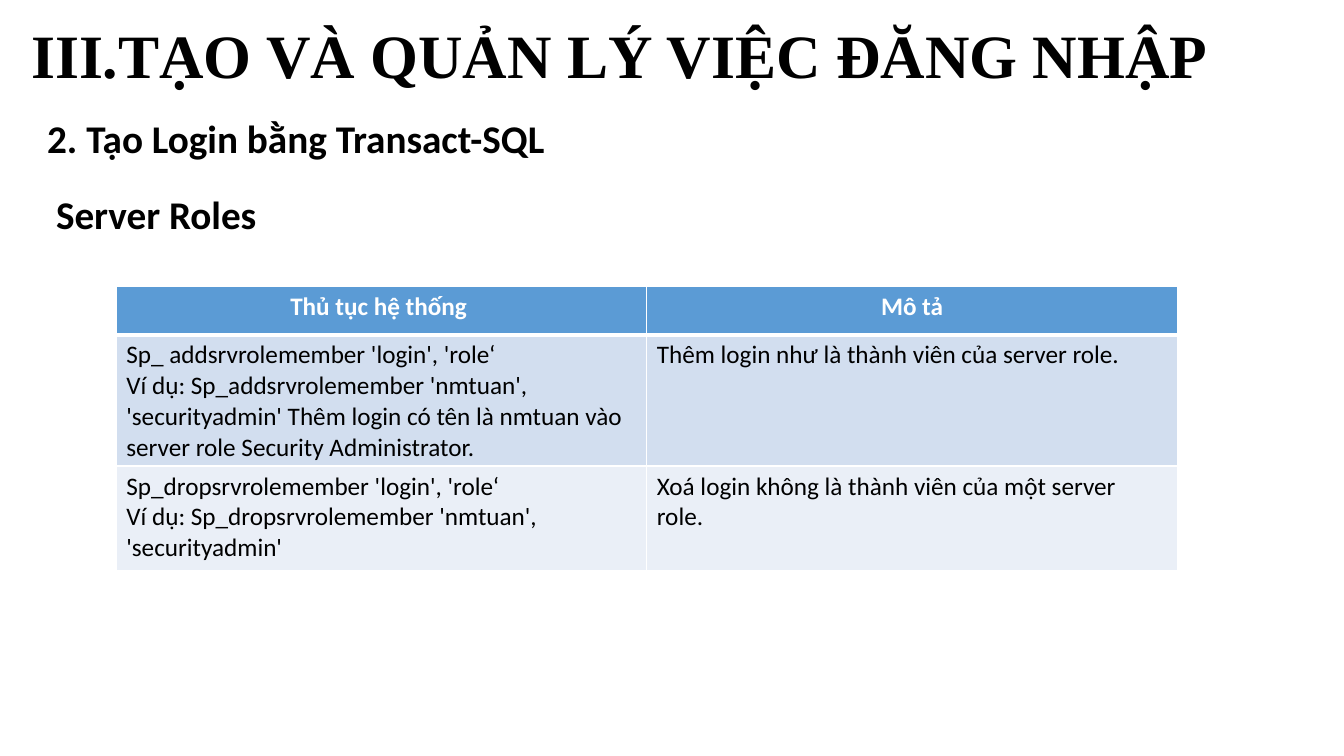
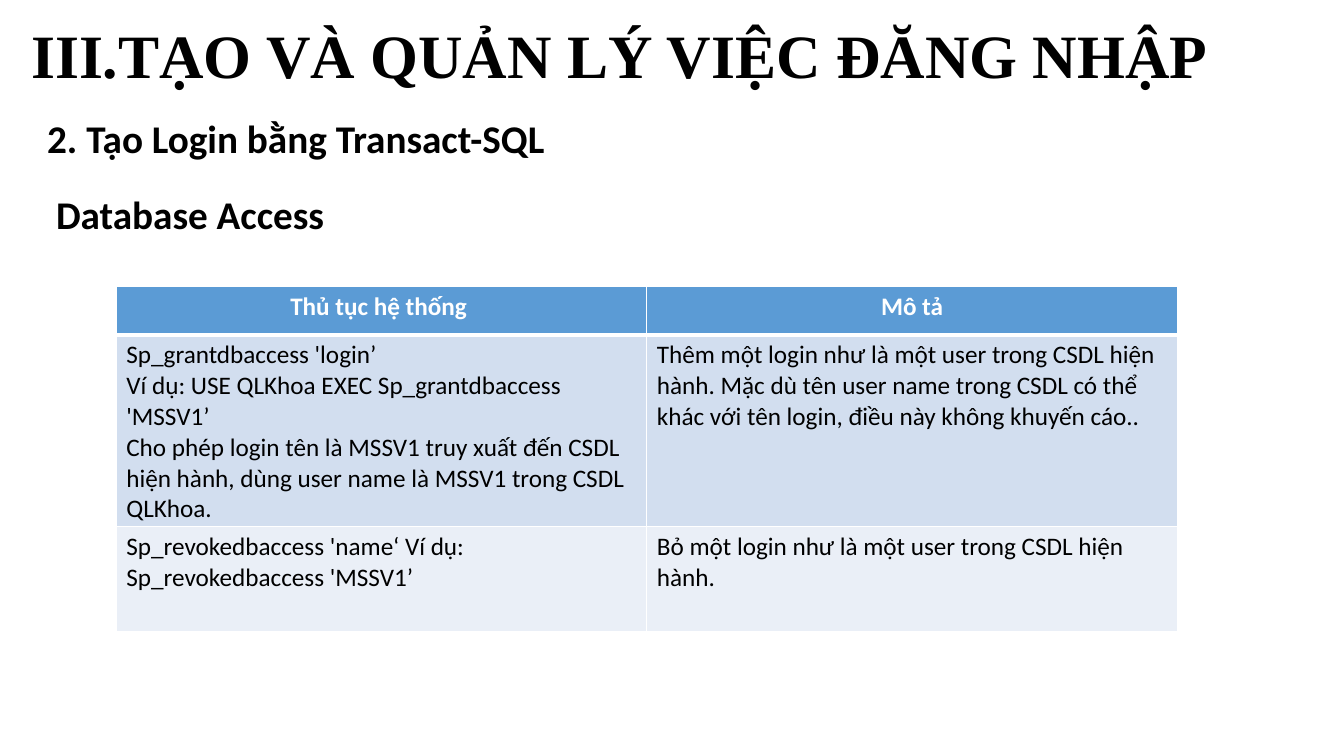
import dataclasses

import lxml.etree
import pptx
import pptx.dml.color
import pptx.enum.text
import pptx.oxml.ns
import pptx.util

Cm = pptx.util.Cm
Align = pptx.enum.text.PP_ALIGN
Anchor = pptx.enum.text.MSO_ANCHOR

TITLE = "III.TẠO VÀ QUẢN LÝ VIỆC ĐĂNG NHẬP"
SECTION = "2. Tạo Login bằng Transact-SQL"
TABLE_HEADER = ("Thủ tục hệ thống ", "Mô tả")
TITLE_FONT = "Times New Roman"
BODY_FONT = "Calibri"
BLACK = "000000"
WHITE = "FFFFFF"
ROW_FILLS = ("5B9BD5", "D2DEEF", "EAEFF7")
ROW_HEIGHTS = (1.22, 2.64, 2.64)
COLUMN_WIDTH = 13.37
THIN, THICK = 1, 3


@dataclasses.dataclass(frozen=True)
class Procedure:
    usage: str
    description: str


@dataclasses.dataclass(frozen=True)
class Topic:
    heading: str
    procedures: tuple[Procedure, ...]


TOPICS = (
    Topic(
        " Server Roles",
        (
            Procedure(
                "Sp_ addsrvrolemember 'login', 'role‘\n"
                "Ví dụ: Sp_addsrvrolemember 'nmtuan', 'securityadmin' "
                "Thêm login có tên là nmtuan vào server role Security Administrator.",
                "Thêm login như là thành viên của server role.",
            ),
            Procedure(
                "Sp_dropsrvrolemember 'login', 'role‘\n"
                "Ví dụ: Sp_dropsrvrolemember 'nmtuan', 'securityadmin'",
                "Xoá login không là thành viên của một server role.",
            ),
        ),
    ),
    Topic(
        " Database Access",
        (
            Procedure(
                "Sp_grantdbaccess 'login’\n"
                "Ví dụ: USE QLKhoa EXEC Sp_grantdbaccess 'MSSV1’\n"
                "Cho phép login tên là MSSV1 truy xuất đến CSDL hiện hành, "
                "dùng user name là MSSV1 trong CSDL QLKhoa.",
                "Thêm một login như là một user trong CSDL hiện hành. "
                "Mặc dù tên user name trong CSDL có thể khác với tên login, "
                "điều này không khuyến cáo..",
            ),
            Procedure(
                "Sp_revokedbaccess 'name‘ Ví dụ: Sp_revokedbaccess 'MSSV1’",
                "Bỏ một login như là một user trong CSDL hiện hành.",
            ),
        ),
    ),
)


def rgb(value: str) -> pptx.dml.color.RGBColor:
    return pptx.dml.color.RGBColor.from_string(value)


def write_text(text_frame, text: str, font: str, size: float, color: str, bold: bool,
               alignment: Align, line_spacing: float = 1.0, space_before: float = 0) -> None:
    text_frame.text = text
    text_frame.word_wrap = True
    for paragraph in text_frame.paragraphs:
        paragraph.alignment = alignment
        paragraph.line_spacing = line_spacing
        paragraph.space_before = pptx.util.Pt(space_before)
        for run in paragraph.runs:
            run.font.name = font
            run.font.size = pptx.util.Pt(size)
            run.font.bold = bold
            run.font.color.rgb = rgb(color)


def set_borders(cell, top: float, bottom: float) -> None:
    properties = cell._tc.get_or_add_tcPr()
    for side, width in (("L", THIN), ("R", THIN), ("T", top), ("B", bottom)):
        line = lxml.etree.SubElement(properties, pptx.oxml.ns.qn(f"a:ln{side}"),
                                     w=str(pptx.util.Pt(width)))
        fill = lxml.etree.SubElement(line, pptx.oxml.ns.qn("a:solidFill"))
        lxml.etree.SubElement(fill, pptx.oxml.ns.qn("a:srgbClr"), val=WHITE)


def add_title(slide) -> None:
    title = slide.shapes.title
    title.left, title.top, title.width, title.height = Cm(0.53), Cm(-0.36), Cm(32.39), Cm(3.68)
    title.text_frame.auto_size = pptx.enum.text.MSO_AUTO_SIZE.NONE
    title.text_frame.vertical_anchor = Anchor.MIDDLE
    write_text(title.text_frame, TITLE, TITLE_FONT, 44, BLACK, True, Align.LEFT, 0.9)


def add_headings(slide, heading: str) -> None:
    box = slide.shapes.add_textbox(Cm(0.94), Cm(2.41), Cm(31.6), Cm(4.2))
    write_text(box.text_frame, f"{SECTION}\n{heading}", BODY_FONT, 28, BLACK, True,
               Align.JUSTIFY, 1.3, 10)


def add_procedure_table(slide, procedures: tuple[Procedure, ...]) -> None:
    rows = [TABLE_HEADER, *(dataclasses.astuple(procedure) for procedure in procedures)]
    table = slide.shapes.add_table(len(rows), len(TABLE_HEADER), Cm(2.93), Cm(7.22),
                                   Cm(COLUMN_WIDTH * len(TABLE_HEADER)),
                                   Cm(sum(ROW_HEIGHTS))).table
    table.horz_banding = False
    for column in table.columns:
        column.width = Cm(COLUMN_WIDTH)
    for row_index, texts in enumerate(rows):
        table.rows[row_index].height = Cm(ROW_HEIGHTS[row_index])
        is_header = row_index == 0
        for column_index, text in enumerate(texts):
            cell = table.cell(row_index, column_index)
            set_borders(cell, THICK if row_index == 1 else THIN, THICK if is_header else THIN)
            cell.fill.solid()
            cell.fill.fore_color.rgb = rgb(ROW_FILLS[row_index])
            write_text(cell.text_frame, text, BODY_FONT, 18, WHITE if is_header else BLACK,
                       is_header, Align.CENTER if is_header else Align.LEFT)


def main() -> None:
    presentation = pptx.Presentation()
    presentation.slide_width = Cm(33.87)
    presentation.slide_height = Cm(19.05)
    title_only = presentation.slide_layouts.get_by_name("Title Only")
    for topic in TOPICS:
        slide = presentation.slides.add_slide(title_only)
        add_title(slide)
        add_headings(slide, topic.heading)
        add_procedure_table(slide, topic.procedures)
    presentation.save("out.pptx")


if __name__ == "__main__":
    main()
